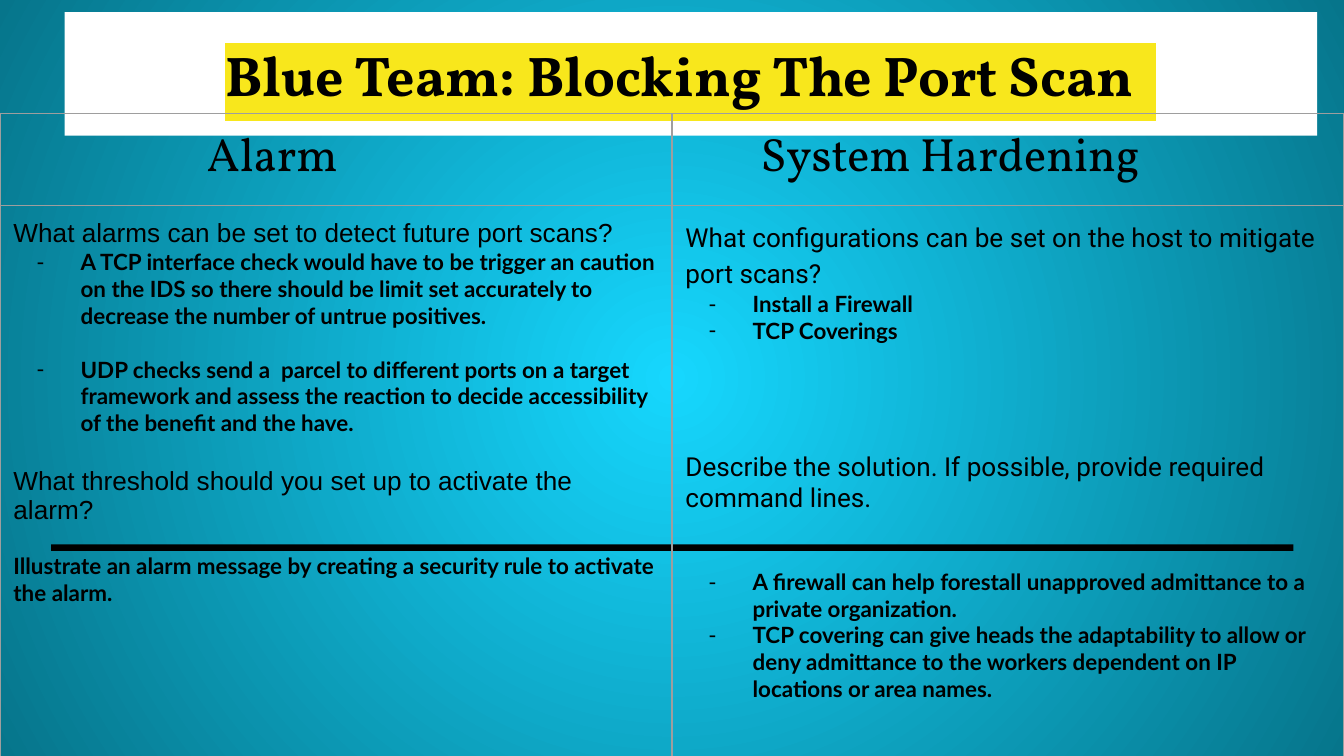
"""Build the Blue Team slide on blocking a port scan."""
from dataclasses import dataclass

from pptx import Presentation
from pptx.dml.color import RGBColor
from pptx.enum.shapes import MSO_SHAPE
from pptx.enum.text import MSO_ANCHOR, PP_ALIGN
from pptx.oxml import parse_xml
from pptx.oxml.ns import nsdecls, qn
from pptx.util import Pt

RECTANGLE = MSO_SHAPE.RECTANGLE
MIDDLE = MSO_ANCHOR.MIDDLE
CENTER = PP_ALIGN.CENTER
EMU_PER_PX = 4572
PAGE_WIDTH = 2000
PAGE_HEIGHT = 1125
MARGIN = 20
BULLET_INDENT = 100
BULLET_HANG = 66


@dataclass(frozen=True)
class Theme:
    ink: str = "000000"
    paper: str = "FFFFFF"
    highlight: str = "F8E71C"
    border: str = "9E9E9E"
    glow: str = "16D7FE"
    edge: str = "06758B"
    serif: str = "Vollkorn"
    answer_font: str = "Lato"
    title_size: int = 30
    header_size: int = 25
    question_size: int = 14
    answer_size: int = 12
    border_width: float = 0.75


@dataclass(frozen=True)
class Box:
    left: int
    top: int
    width: int
    height: int

    def emu(self) -> tuple[int, int, int, int]:
        return px(self.left), px(self.top), px(self.width), px(self.height)


@dataclass(frozen=True)
class Line:
    text: str
    font: str
    size: int
    bold: bool = False
    indent: int = 0
    bullet: bool = False
    before: float = 0
    spacing: float = 1.0


THEME = Theme()
TITLE = Line("Blue Team: Blocking The Port Scan  ", THEME.serif, THEME.title_size, True)
TITLE_BOX = Box(96, 18, 1864, 184)
BAR_BOX = Box(76, 810, 1849, 10)
ROW_HEIGHTS = (137, 825)
TABLE_BOX = Box(0, 169, PAGE_WIDTH, sum(ROW_HEIGHTS))


def px(length: int) -> int:
    return length * EMU_PER_PX


def header(text: str, indent: int) -> Line:
    return Line(text, THEME.serif, THEME.header_size, indent=indent)


def question(text: str, font: str, before: float = 0, spacing: float = 1.0) -> Line:
    return Line(text, font, THEME.question_size, before=before, spacing=spacing)


def answer(text: str, before: float = 0, indent: int = BULLET_INDENT,
           bullet: bool = True) -> Line:
    return Line(text, THEME.answer_font, THEME.answer_size, True, indent, bullet, before)


ALARM = [
    question("What alarms can be set to detect future port scans?", "Arial"),
    answer("A TCP interface check would have to be trigger an caution on the IDS so there "
           "should be limit set accurately to decrease the number of untrue positives."),
    answer("UDP checks send a  parcel to different ports on a target framework and assess "
           "the reaction to decide accessibility of the benefit and the have.", before=14.4),
    question("What threshold should you set up to activate the alarm?", "Arial", before=16),
    answer("Illustrate an alarm message by creating a security rule to activate the alarm.",
           before=14.4, indent=0, bullet=False),
]
HARDENING = [
    question("What configurations can be set on the host to mitigate port scans?", "Roboto",
             spacing=1.15),
    answer("Install a Firewall"),
    answer("TCP Coverings"),
    question("Describe the solution. If possible, provide required command lines.", "Roboto",
             before=58),
    answer("A firewall can help forestall unapproved admittance to a", before=29),
    answer("private organization.", bullet=False),
    answer("TCP covering can give heads the adaptability to allow or deny admittance to the "
           "workers dependent on IP locations or area names."),
]
CELLS = (
    ([header("Alarm", 288)], [header("System Hardening", 112)]),
    (ALARM, HARDENING),
)


def color_xml(tag: str, color: str) -> str:
    return f'<a:{tag} {nsdecls("a")}><a:srgbClr val="{color}"/></a:{tag}>'


def write_lines(frame, lines: list[Line]) -> None:
    frame.text = "\n".join(line.text for line in lines)
    for para, line in zip(frame.paragraphs, lines):
        para.space_before = Pt(line.before)
        para.line_spacing = line.spacing
        properties = para._p.get_or_add_pPr()
        properties.set("marL", str(px(line.indent)))
        properties.set("indent", str(px(-BULLET_HANG if line.bullet else 0)))
        if line.bullet:
            properties.append(parse_xml(color_xml("buClr", THEME.ink)))
            properties.append(parse_xml(
                f'<a:buFont {nsdecls("a")} typeface="{line.font}"/>'))
            properties.append(parse_xml(f'<a:buChar {nsdecls("a")} char="-"/>'))
        for span in para.runs:
            span.font.name = line.font
            span.font.size = Pt(line.size)
            span.font.bold = line.bold
            span.font.color.rgb = RGBColor.from_string(THEME.ink)


def set_margins(target) -> None:
    for side in ("left", "right", "top", "bottom"):
        setattr(target, f"margin_{side}", px(MARGIN))


def paint_background(page) -> None:
    fill = page.background.fill
    fill.gradient()
    for stop, color in zip(fill.gradient_stops, (THEME.glow, THEME.edge)):
        stop.color.rgb = RGBColor.from_string(color)
    gradient = next(page._element.iter(qn("a:gradFill")))
    gradient.replace(gradient.find(qn("a:lin")), parse_xml(
        f'<a:path {nsdecls("a")} path="circle">'
        '<a:fillToRect l="50000" t="50000" r="50000" b="50000"/></a:path>'))


def add_bar(page, box: Box) -> None:
    bar = page.shapes.add_shape(RECTANGLE, *box.emu())
    bar.shadow.inherit = False
    bar.fill.solid()
    bar.fill.fore_color.rgb = RGBColor.from_string(THEME.ink)
    bar.line.fill.background()


def add_title(page, box: Box, line: Line) -> None:
    title = page.shapes.add_textbox(*box.emu())
    title.fill.solid()
    title.fill.fore_color.rgb = RGBColor.from_string(THEME.paper)
    frame = title.text_frame
    frame.word_wrap = True
    frame.vertical_anchor = MIDDLE
    set_margins(frame)
    write_lines(frame, [line])
    para = frame.paragraphs[0]
    para.alignment = CENTER
    ink = para.runs[0]._r.get_or_add_rPr().find(qn("a:solidFill"))
    ink.addnext(parse_xml(color_xml("highlight", THEME.highlight)))


def add_borders(cell) -> None:
    properties = cell._tc.get_or_add_tcPr()
    for position, side in enumerate("LRTB"):
        properties.insert(position, parse_xml(
            f'<a:ln{side} {nsdecls("a")} w="{Pt(THEME.border_width)}">'
            f'{color_xml("solidFill", THEME.border)}</a:ln{side}>'))


def add_comparison(page, box: Box) -> None:
    table = page.shapes.add_table(len(CELLS), len(CELLS[0]), *box.emu()).table
    table.first_row = False
    table.horz_banding = False
    for row, height, contents in zip(table.rows, ROW_HEIGHTS, CELLS):
        row.height = px(height)
        for cell, lines in zip(row.cells, contents):
            cell.fill.background()
            set_margins(cell)
            add_borders(cell)
            write_lines(cell.text_frame, lines)


def main() -> None:
    deck = Presentation()
    deck.slide_width, deck.slide_height = px(PAGE_WIDTH), px(PAGE_HEIGHT)
    page = deck.slides.add_slide(deck.slide_layouts[6])
    paint_background(page)
    add_bar(page, BAR_BOX)
    add_title(page, TITLE_BOX, TITLE)
    add_comparison(page, TABLE_BOX)
    deck.save("out.pptx")


if __name__ == "__main__":
    main()
